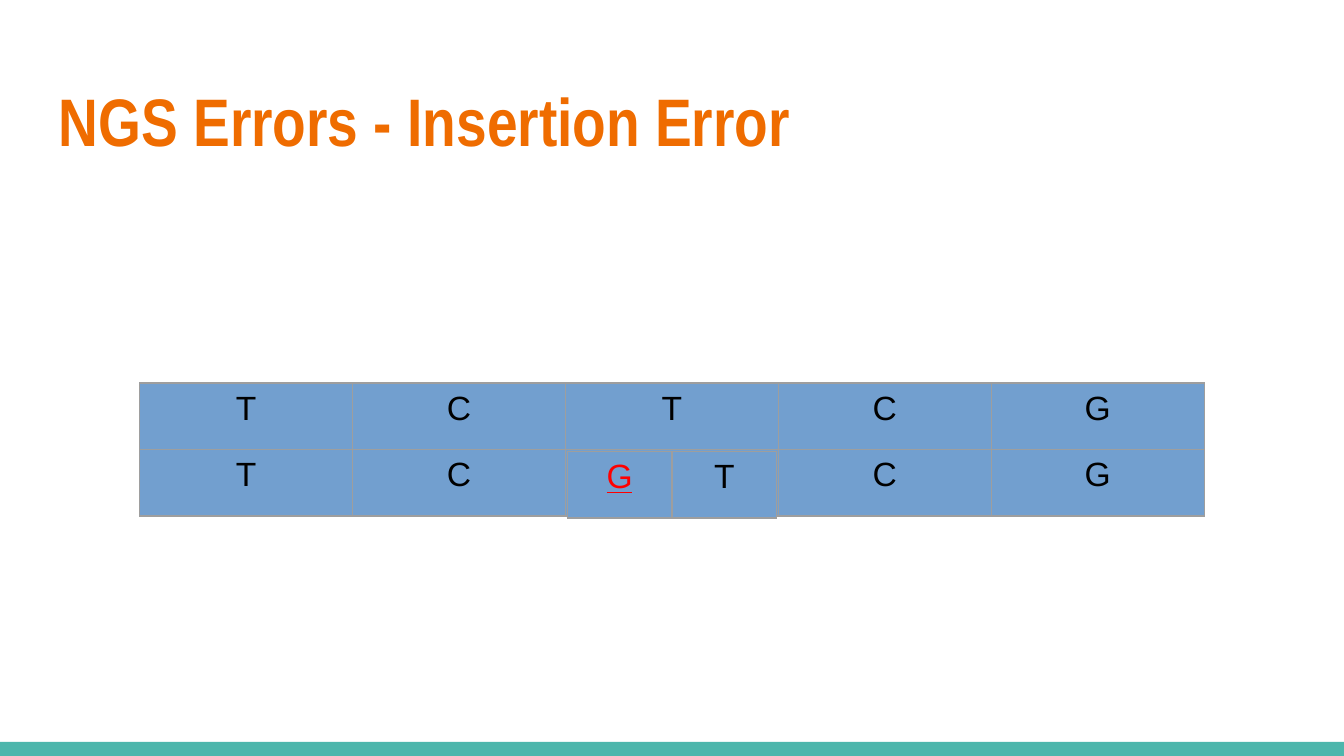
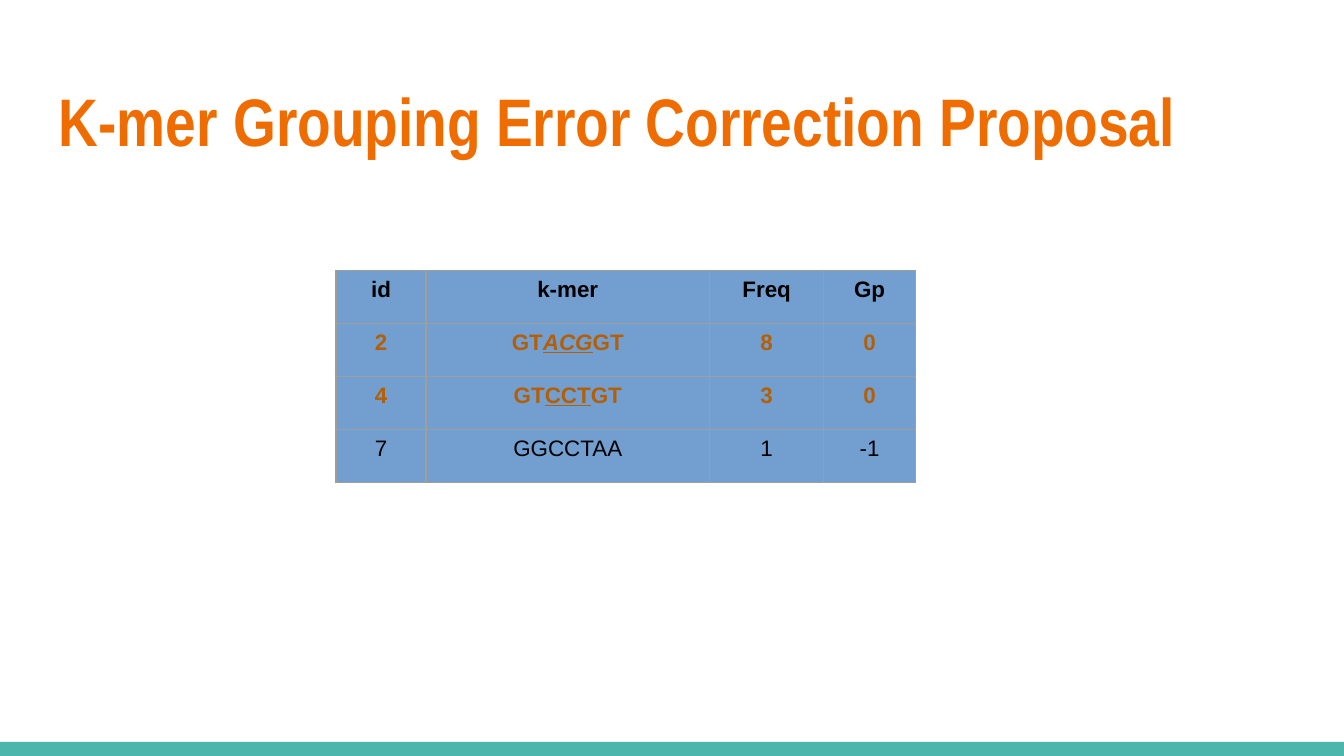
from lxml import etree
from pptx import Presentation
from pptx.dml.color import RGBColor
from pptx.enum.shapes import MSO_SHAPE
from pptx.enum.text import MSO_ANCHOR, PP_ALIGN
from pptx.oxml.ns import qn
from pptx.util import Inches, Pt

RECTANGLE = MSO_SHAPE.RECTANGLE
TOP = MSO_ANCHOR.TOP
CENTER = PP_ALIGN.CENTER

COLORS = {
    "background": "FFFFFF",
    "band": "4DB6AC",
    "title": "EF6C00",
    "cell": "729FCF",
    "border": "9E9E9E",
    "text": "000000",
    "error": "FF0000",
    "grouped": "B45F06",
}
TITLE_FONT = "Arial Narrow"
BODY_FONT = "Arial"
PAGE_WIDTH = 10
PAGE_HEIGHT = PAGE_WIDTH * 9 / 16
TITLE_BOX = (0.34, 0.49, 9.32, 0.77)
BAND_TOP = 5.52
BORDER_WIDTH = 0.75


def rgb(name):
    return RGBColor.from_string(COLORS[name])


def add_run(para, text, size, color="text", font=BODY_FONT,
            bold=False, italic=False, underline=False):
    span = para.add_run()
    span.text = text
    span.font.name = font
    span.font.size = Pt(size)
    span.font.color.rgb = rgb(color)
    span.font.bold = bold
    span.font.italic = italic
    span.font.underline = underline


def add_page(deck, title):
    """Add a blank page with the shared background, bottom band and title."""
    page = deck.slides.add_slide(deck.slide_layouts[6])
    page.background.fill.solid()
    page.background.fill.fore_color.rgb = rgb("background")

    band = page.shapes.add_shape(
        RECTANGLE, 0, Inches(BAND_TOP),
        Inches(PAGE_WIDTH), Inches(PAGE_HEIGHT - BAND_TOP))
    band.shadow.inherit = False
    band.fill.solid()
    band.fill.fore_color.rgb = rgb("band")
    band.line.fill.background()

    box = page.shapes.add_textbox(*map(Inches, TITLE_BOX))
    frame = box.text_frame
    frame.word_wrap = True
    frame.vertical_anchor = TOP
    frame.margin_left = frame.margin_right = Inches(0.1)
    frame.margin_top = frame.margin_bottom = Inches(0.1)
    add_run(frame.paragraphs[0], title, 36, "title", TITLE_FONT, bold=True)
    return page


def add_borders(cell):
    properties = cell._tc.get_or_add_tcPr()
    for side in ("a:lnL", "a:lnR", "a:lnT", "a:lnB"):
        line = etree.SubElement(properties, qn(side), w=str(Pt(BORDER_WIDTH)))
        fill = etree.SubElement(line, qn("a:solidFill"))
        etree.SubElement(fill, qn("a:srgbClr"), val=COLORS["border"])


def fill_cell(cell, runs, size):
    """Style a cell and write its (text, style) runs."""
    add_borders(cell)
    cell.fill.solid()
    cell.fill.fore_color.rgb = rgb("cell")
    cell.margin_left = cell.margin_right = Inches(0.1)
    cell.margin_top = cell.margin_bottom = Inches(0.05)
    cell.vertical_anchor = TOP
    para = cell.text_frame.paragraphs[0]
    para.alignment = CENTER
    for text, style in runs:
        add_run(para, text, size, **style)


def add_grid(page, left, top, widths, height, rows, size):
    """Add a table of equal rows that hold one list of runs per cell."""
    grid = page.shapes.add_table(
        len(rows), len(widths), Inches(left), Inches(top),
        Inches(sum(widths)), Inches(height)).table
    grid.first_row = grid.horz_banding = False
    for column, width in zip(grid.columns, widths):
        column.width = Inches(width)
    for row, contents in zip(grid.rows, rows):
        row.height = Inches(height / len(rows))
        for cell, runs in zip(row.cells, contents):
            fill_cell(cell, runs, size)


def plain_row(texts, **style):
    return [[(text, style)] if text else [] for text in texts]


def add_insertion_page(deck, left=1.04, top=2.85):
    page = add_page(deck, "NGS Errors - Insertion Error")
    width, height, size = 7.92, 0.99, 18
    reads = [plain_row(["T", "C", "T", "C", "G"]),
             plain_row(["T", "C", "", "C", "G"])]
    add_grid(page, left, top, [width / 5] * 5, height, reads, size)

    inserted = [[("G", {"color": "error", "underline": True})], [("T", {})]]
    add_grid(page, left + 3.18, top + 0.51, [0.78] * 2, height / 2,
             [inserted], size)


def add_grouping_page(deck, left=2.5, top=2.01):
    page = add_page(deck, "K-mer Grouping Error Correction Proposal")
    widths, height, size = [0.67, 2.11, 0.85], 1.58, 12
    grouped = {"color": "grouped", "bold": True}
    marked = {**grouped, "underline": True}

    def grouped_row(number, middle, middle_style, frequency):
        kmer = [("GT", grouped), (middle, middle_style), ("GT", grouped)]
        return [[(number, grouped)], kmer, [(frequency, grouped)]]

    kmers = [
        plain_row(["id", "k-mer", "Freq"], bold=True),
        grouped_row("2", "ACG", {**marked, "italic": True}, "8"),
        grouped_row("4", "CCT", marked, "3"),
        plain_row(["7", "GGCCTAA", "1"]),
    ]
    add_grid(page, left, top, widths, height, kmers, size)

    groups = [plain_row(["Gp"], bold=True), plain_row(["0"], **grouped),
              plain_row(["0"], **grouped), plain_row(["-1"])]
    add_grid(page, left + sum(widths), top, [0.68], height, groups, size)


def main():
    deck = Presentation()
    deck.slide_width = Inches(PAGE_WIDTH)
    deck.slide_height = Inches(PAGE_HEIGHT)
    add_insertion_page(deck)
    add_grouping_page(deck)
    deck.save("out.pptx")


if __name__ == "__main__":
    main()
